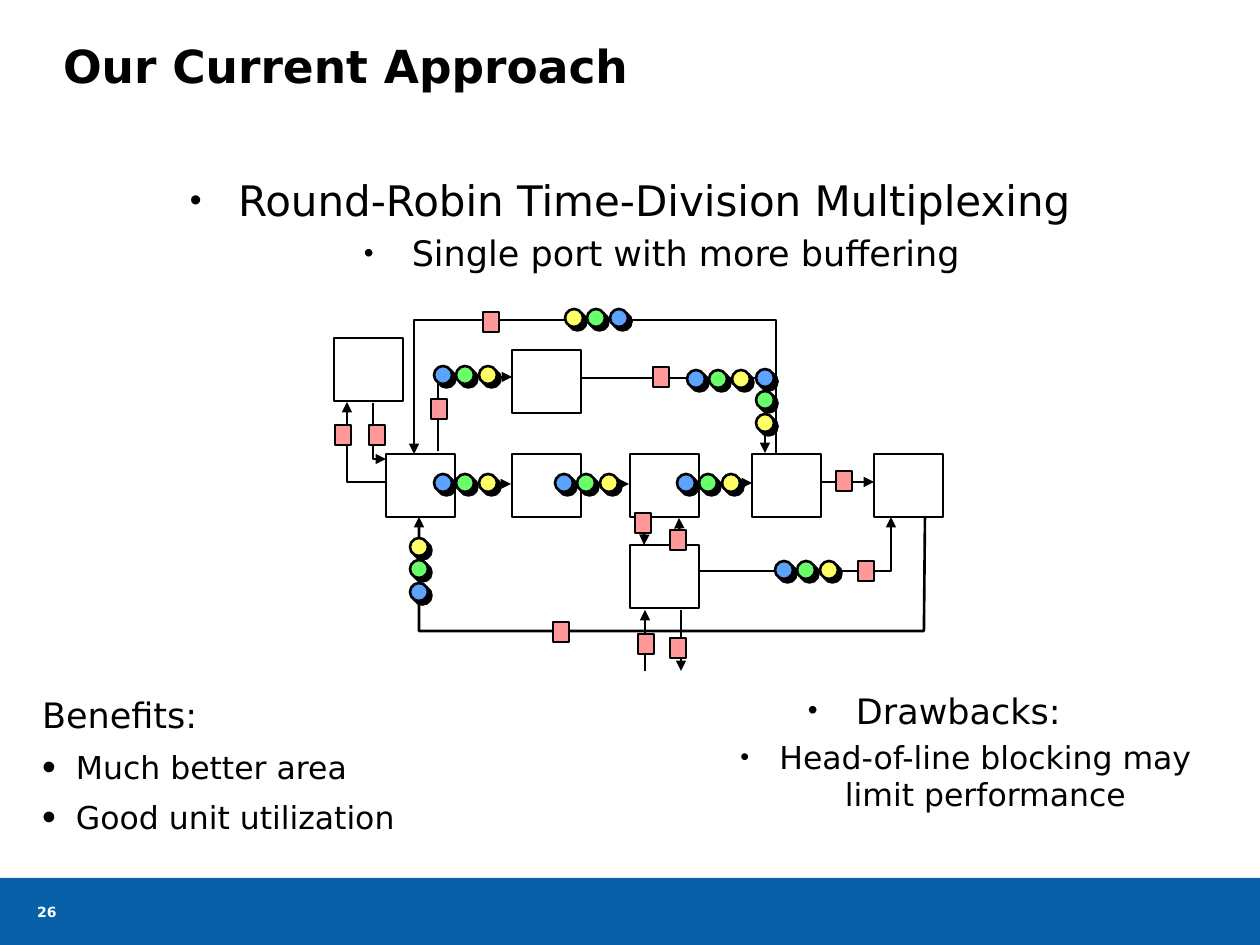
from lxml.etree import SubElement
from pptx import Presentation
from pptx.dml.color import RGBColor
from pptx.enum.shapes import MSO_CONNECTOR as Link, MSO_SHAPE as Kind
from pptx.enum.text import MSO_ANCHOR as Anchor, MSO_AUTO_SIZE as Fit, PP_ALIGN as Align
from pptx.oxml.ns import qn
from pptx.util import Emu, Pt

FONT = "DejaVu Sans"
BLACK, WHITE, PINK = "000000", "FFFFFF", "FF9999"
YELLOW, GREEN, BLUE = "FFFF66", "68FF68", "5CA2FF"
WARM, COOL = (YELLOW, GREEN, BLUE), (BLUE, GREEN, YELLOW)

WIRES = [
    [(373, 403), (373, 459), (386, 459)],
    [(399, 482), (347, 482), (347, 402)],
    [(696, 571), (891, 571), (891, 517)],
    [(563, 378), (765, 378), (765, 453)],
    [(438, 451), (438, 377), (512, 377)],
    [(818, 482), (874, 482)],
    [(694, 483), (752, 483)],
    [(571, 484), (629, 484)],
    [(455, 484), (511, 484)],
    [(925, 517), (924, 631), (419, 631), (419, 517)],
    [(645, 517), (644, 545)],
    [(776, 454), (776, 320), (414, 320), (414, 454)],
    [(680, 547), (679, 518)],
    [(681, 610), (681, 671)],
    [(645, 671), (645, 610)],
]
UNITS = [(386, 454), (512, 454), (630, 454), (752, 454), (874, 454),
         (512, 350), (630, 545), (334, 338)]
PORTS = [(553, 622), (858, 561), (431, 399), (483, 312), (653, 367), (335, 425),
         (369, 425), (635, 513), (670, 530), (836, 471), (638, 634), (670, 638)]
QUEUES = [
    (410, 538, 0, 1, WARM),
    (434, 474, 1, 0, COOL),
    (555, 474, 1, 0, COOL),
    (677, 474, 1, 0, COOL),
    (775, 561, 1, 0, COOL),
    (687, 370, 1, 0, COOL),
    (434, 366, 1, 0, COOL),
    (565, 309, 1, 0, WARM),
    (756, 369, 0, 1, COOL),
]


def px(n):
    return Emu(round(n * 914400 / 126))


def rgb(code):
    return RGBColor.from_string(code)


def add_node(shapes, kind, box, fill, edge=True):
    node = shapes.add_shape(kind, *map(px, box))
    node.shadow.inherit = False
    node.fill.solid()
    node.fill.fore_color.rgb = rgb(fill)
    if edge:
        node.line.color.rgb = rgb(BLACK)
        node.line.width = Pt(1.5)
    else:
        node.line.fill.background()
    return node


def add_wire(shapes, points):
    ends = [(px(x), px(y)) for x, y in points]
    if len(ends) == 2:
        wire = shapes.add_connector(Link.STRAIGHT, *ends[0], *ends[1])
    else:
        pen = shapes.build_freeform(*ends[0], scale=1.0)
        pen.add_line_segments(ends[1:], close=False)
        wire = pen.convert_to_shape()
        wire.fill.background()
    wire.line.color.rgb = rgb(BLACK)
    wire.line.width = Pt(1.5)
    SubElement(wire.line._get_or_add_ln(), qn("a:tailEnd"), type="triangle")
    SubElement(wire._element.spPr, qn("a:effectLst"))


def add_queue(shapes, x, y, dx, dy, hues):
    group = shapes.add_group_shape().shapes
    for i, hue in enumerate(hues):
        step = i * 45 // 2
        dot = add_node(group, Kind.OVAL, (x + dx * step, y + dy * step, 18, 18), hue)
        glow = dot._element.spPr.find(qn("a:effectLst"))
        shade = SubElement(glow, qn("a:outerShdw"), dist=str(Pt(2.8)),
                           dir="2700000", algn="ctr", rotWithShape="0")
        SubElement(shade, qn("a:srgbClr"), val=BLACK)


def set_frame(shape, box, inset=True, anchor=Anchor.TOP):
    shape.left, shape.top, shape.width, shape.height = map(px, box)
    frame = shape.text_frame
    frame.word_wrap = True
    frame.auto_size = Fit.NONE
    frame.vertical_anchor = anchor
    if not inset:
        frame.margin_left = frame.margin_right = 0
        frame.margin_top = frame.margin_bottom = 0
    return frame


def set_text(para, text, size, color=BLACK, bold=False, align=Align.LEFT):
    para.text = text
    para.alignment = align
    font = para.font
    font.name, font.size, font.bold = FONT, Pt(size), bold
    font.color.rgb = rgb(color)


def set_list(frame, rows, align):
    """Fill a frame from rows of text, size, space, indent, hang and bullet percent."""
    for i, (text, size, space, left, hang, scale) in enumerate(rows):
        para = frame.add_paragraph() if i else frame.paragraphs[0]
        set_text(para, text, size, align=align)
        para.level = min(i, 1)
        para.space_before = Pt(size * space)
        props = para._p.get_or_add_pPr()
        props.set("marL", str(px(left)))
        props.set("indent", str(px(-hang)))
        marks = []
        if scale:
            marks = [("a:buSzPct", {"val": str(scale * 1000)}), ("a:buChar", {"char": "•"})]
        else:
            marks = [("a:buNone", {})]
        spot = props.find(qn("a:spcBef"))
        for tag, attrs in marks:
            mark = SubElement(props, qn(tag), attrs)
            spot.addnext(mark)
            spot = mark


def main():
    deck = Presentation()
    deck.slide_width, deck.slide_height = px(1260), px(945)
    slide = deck.slides.add_slide(deck.slide_layouts[4])
    shapes, holders = slide.shapes, slide.placeholders

    add_node(shapes, Kind.RECTANGLE, (0, 878, 1260, 67), "0860A8", edge=False)
    title = set_frame(shapes.title, (63, 38, 1135, 122), inset=False)
    set_text(title.paragraphs[0], "Our Current Approach", 26, bold=True)

    topic = set_frame(holders[1], (32, 168, 1197, 126))
    set_list(topic, [
        ("Round-Robin Time-Division Multiplexing", 24, 0.2, 48, 48, 80),
        ("Single port with more buffering", 20, 0.2, 111, 48, 80),
    ], Align.CENTER)
    gains = set_frame(holders[2], (42, 693, 588, 147), inset=False)
    set_list(gains, [
        ("Benefits:", 20, 0.6, 0, 0, 0),
        ("Much better area", 18, 0.4, 34, 34, 125),
        ("Good unit utilization", 18, 0.4, 34, 34, 125),
    ], Align.LEFT)
    costs = set_frame(holders[3], (631, 683, 607, 158))
    set_list(costs, [
        ("Drawbacks:", 20, 0.2, 48, 48, 80),
        ("Head-of-line blocking may limit performance", 18, 0.2, 102, 39, 80),
    ], Align.CENTER)
    spare = holders[4]._element
    spare.getparent().remove(spare)

    for points in WIRES:
        add_wire(shapes, points)
    for x, y in UNITS:
        add_node(shapes, Kind.RECTANGLE, (x, y, 69, 63), WHITE)
    for queue in QUEUES:
        add_queue(shapes, *queue)
    for x, y in PORTS:
        add_node(shapes, Kind.RECTANGLE, (x, y, 16, 20), PINK)

    page = (37, 891, 57, 42)
    label = set_frame(shapes.add_textbox(*map(px, page)), page, False, Anchor.MIDDLE)
    set_text(label.paragraphs[0], "26", 8, WHITE, True)
    deck.save("out.pptx")


if __name__ == "__main__":
    main()
